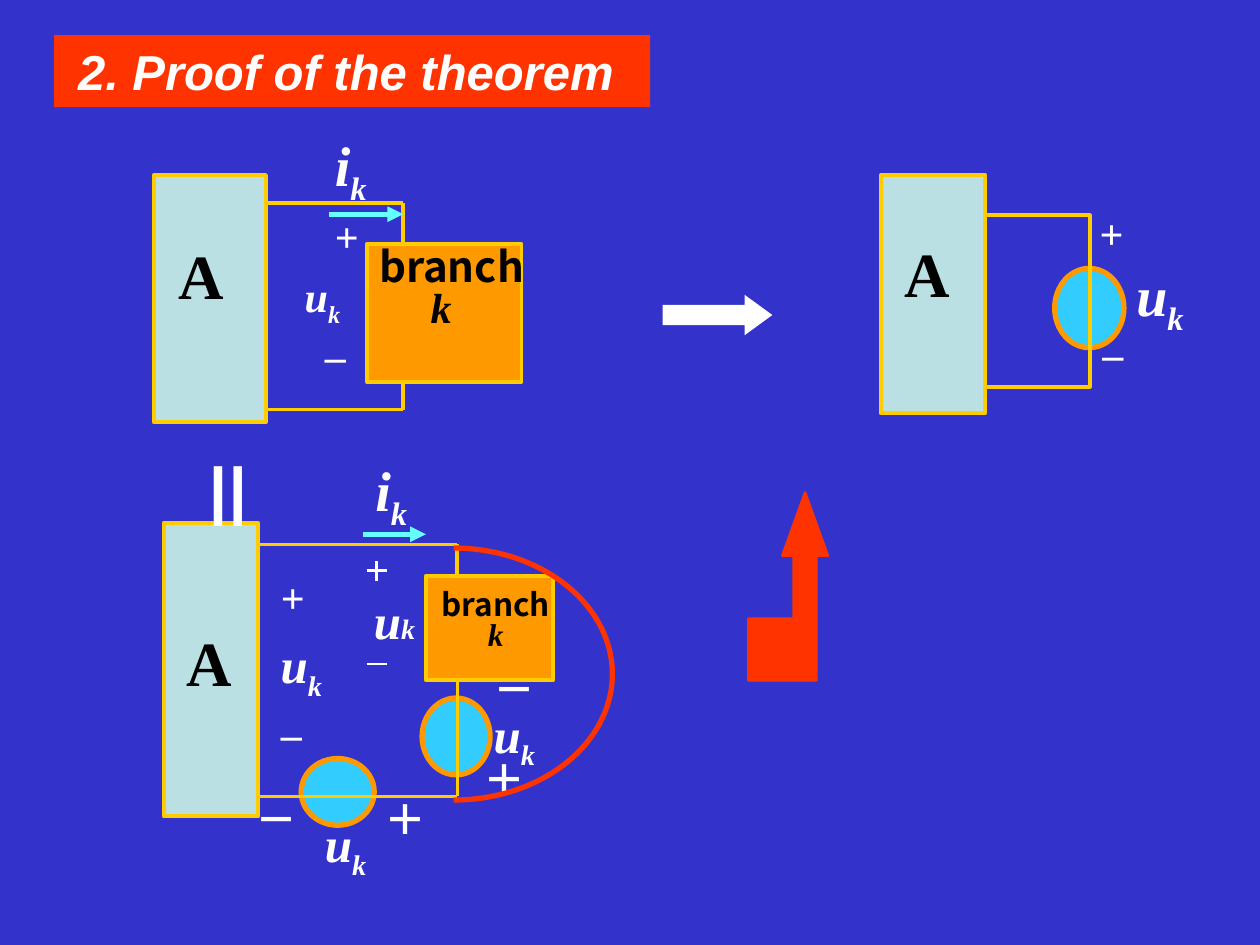
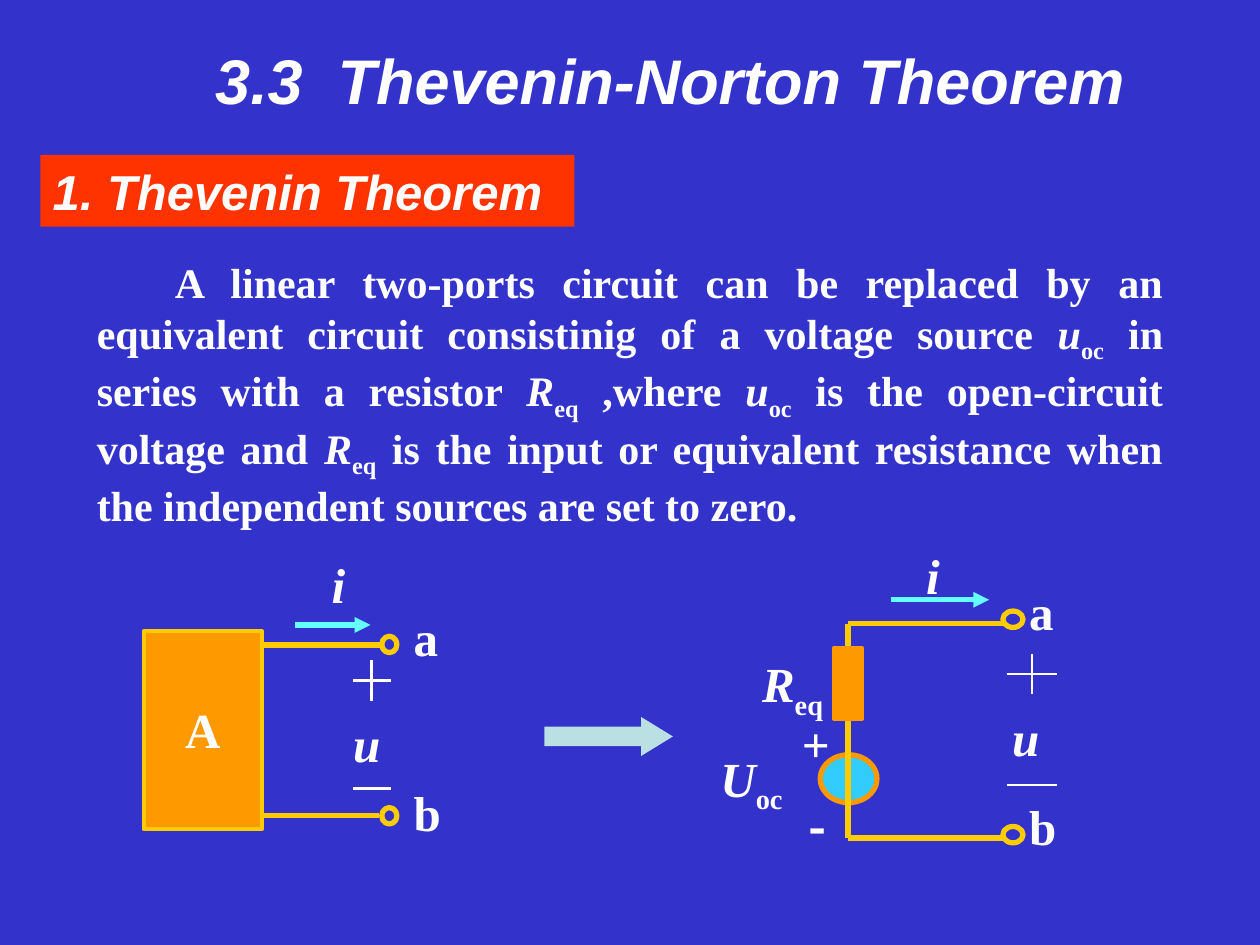
from lxml import etree
from pptx import Presentation
from pptx.dml.color import RGBColor
from pptx.enum.shapes import MSO_CONNECTOR, MSO_SHAPE as SHP
from pptx.enum.text import MSO_ANCHOR, MSO_AUTO_SIZE, PP_ALIGN as AL
from pptx.oxml.ns import qn
from pptx.util import Pt

PX = 9144  # 100 px to the inch
COLORS = {
    "bg": "3333CC", "white": "FFFFFF", "black": "000000", "red": "FF3300",
    "orange": "FF9900", "yellow": "FFCC00", "pale": "BBE0E3",
    "sky": "33CCFF", "cyan": "66FFFF",
}
SERIF, SANS, CJK = "Times New Roman", "Arial", "Noto Sans CJK SC"


def rgb(name):
    return RGBColor.from_string(COLORS[name])


def px(values):
    return [v * PX for v in values]


# Text
def add_run(p, text, size, color="white", font=SERIF, italic=False, sub=False):
    r = p.add_run()
    r.text = text
    f = r.font
    f.name, f.size, f.bold, f.italic = font, Pt(size), True, italic
    f.color.rgb = rgb(color)
    rpr = r._r.get_or_add_rPr()
    if sub:
        rpr.set("baseline", "-25000")
    etree.SubElement(rpr, qn("a:ea")).set("typeface", CJK)


def frame(sp, mid=False):
    tf = sp.text_frame
    tf.word_wrap = not mid
    tf.auto_size = MSO_AUTO_SIZE.SHAPE_TO_FIT_TEXT
    tf.vertical_anchor = MSO_ANCHOR.MIDDLE if mid else MSO_ANCHOR.TOP
    tf.paragraphs[0].alignment = AL.CENTER if mid else AL.LEFT
    return tf


def label(s, box, text, size, mid=False, **style):
    sp = s.shapes.add_textbox(*px(box))
    add_run(frame(sp, mid).paragraphs[0], text, size, **style)
    return sp


def symbol(s, box, base, sub, size, sub_italic=True):
    """Italic quantity with a subscript."""
    p = frame(s.shapes.add_textbox(*px(box))).paragraphs[0]
    add_run(p, base, size, italic=True)
    add_run(p, sub, size, italic=sub_italic, sub=True)


def branch_label(s, box, size, align, k_indent=0):
    tf = frame(s.shapes.add_textbox(*px(box)))
    name, k = tf.paragraphs[0], tf.add_paragraph()
    for p in (name, k):
        p.alignment, p.line_spacing = align, 0.8
    add_run(name, "branch", size, "black", CJK)
    add_run(k, "k", size, "black", italic=True)
    k._p.get_or_add_pPr().set("marL", str(k_indent * PX))


# Shapes
def paint(sp, fill=None, line=None, width=2.25):
    sp.shadow.inherit = False
    if fill:
        sp.fill.solid()
        sp.fill.fore_color.rgb = rgb(fill)
    else:
        sp.fill.background()
    if line:
        sp.line.color.rgb = rgb(line)
        sp.line.width = Pt(width)
    else:
        sp.line.fill.background()
    return sp


def shape(s, kind, box, fill=None, line=None, width=2.25, adj=()):
    sp = s.shapes.add_shape(kind, *px(box))
    for i, value in enumerate(adj):
        sp.adjustments[i] = value
    return paint(sp, fill, line, width)


def block(s, box, fill="pale"):
    shape(s, SHP.RECTANGLE, box, fill, "yellow")


def source(s, box):
    shape(s, SHP.OVAL, box, "sky", "orange", 3)


def terminal(s, box):
    shape(s, SHP.OVAL, box, None, "yellow", 3)


def banner(s, box, text, left=10):
    sp = shape(s, SHP.RECTANGLE, box, "red")
    tf = frame(sp)
    tf.margin_left = left * PX
    add_run(tf.paragraphs[0], text, 28, font=SANS, italic=True)


# Lines
def line(s, x1, y1, x2, y2, color="yellow", width=2.25):
    c = s.shapes.add_connector(MSO_CONNECTOR.STRAIGHT, *px((x1, y1, x2, y2)))
    c.line.color.rgb = rgb(color)
    c.line.width = Pt(width)
    etree.SubElement(c._element.spPr, qn("a:effectLst"))
    return c


def wire(s, points, width=2.25):
    for a, b in zip(points, points[1:]):
        line(s, *a, *b, width=width)


def current(s, x1, x2, y):
    c = line(s, x1, y, x2, y, "cyan", 3)
    etree.SubElement(c.line._get_or_add_ln(), qn("a:tailEnd")).set("type", "triangle")


def polarity(s, x, plus_y, minus_y, half_w, half_h):
    """Plus and minus marks drawn one above the other."""
    for y in (plus_y, minus_y):
        line(s, x - half_w, y, x + half_w, y, "white", 1.5)
    line(s, x, plus_y - half_h, x, plus_y + half_h, "white", 1.5)


def new_slide(prs):
    s = prs.slides.add_slide(prs.slide_layouts[6])
    s.background.fill.solid()
    s.background.fill.fore_color.rgb = rgb("bg")
    return s


# Slide 1: proof
def branch_circuit(s):
    block(s, (291, 194, 123, 109), "orange")
    block(s, (122, 139, 89, 196))
    label(s, (132, 183, 60, 70), "A", 36, color="black")
    wire(s, [(211, 161), (320, 161), (320, 194)])
    wire(s, [(211, 325), (320, 325), (320, 303)])
    current(s, 261, 320, 170)
    symbol(s, (256, 99, 70, 63), "i", "k", 32)
    label(s, (256, 162, 32, 50), "+", 24)
    label(s, (248, 257, 50, 50), "–", 24)
    symbol(s, (232, 210, 72, 50), "u", "k", 24)
    branch_label(s, (291, 194, 138, 74), 24, AL.LEFT, 41)


def source_circuit(s):
    block(s, (699, 139, 83, 189))
    block(s, (782, 171, 83, 136), None)
    label(s, (708, 181, 55, 70), "A", 36, color="black")
    source(s, (837, 213, 55, 63))
    line(s, 865, 211, 865, 278)
    label(s, (863, 160, 30, 50), "+", 24)
    label(s, (865, 255, 46, 50), "–", 24)
    symbol(s, (892, 202, 66, 63), "u", "k", 32)


def two_source_circuit(s):
    source(s, (239, 602, 58, 53))
    symbol(s, (248, 641, 83, 57), "u", "k", 28)
    source(s, (335, 554, 54, 61))
    symbol(s, (382, 554, 98, 57), "u", "k", 28)
    polarity(s, 299, 453, 527, 8, 8)
    sp = label(s, (287, 464, 53, 57), "u", 28, italic=True)
    sp.text_frame.word_wrap = False
    add_run(sp.text_frame.paragraphs[0], "k", 16, italic=True)
    for x, y, sign in ((193, 625, "－"), (374, 593, "＋"),
                       (295, 625, "＋"), (382, 522, "－")):
        label(s, (x, y, 47, 50), sign, 24, font=SANS)
    block(s, (130, 415, 75, 233))
    label(s, (138, 490, 50, 70), "A", 36, color="black")
    current(s, 288, 338, 424)
    symbol(s, (288, 357, 58, 63), "i", "k", 32)
    label(s, (213, 449, 42, 50), "+", 24)
    label(s, (213, 557, 42, 50), "–", 24)
    symbol(s, (213, 499, 60, 57), "u", "k", 28)
    block(s, (338, 457, 101, 83), "orange")
    branch_label(s, (338, 465, 111, 58), 18, AL.CENTER)
    line(s, 205, 432, 363, 432, width=1.5)
    line(s, 363, 432, 363, 457)
    wire(s, [(205, 632), (363, 632), (363, 540)], 1.5)
    # Short circuit across branch and source: arc from -90 to 90 degrees
    shape(s, SHP.ARC, (234, 435, 252, 200), None, "red", 3, (162, 54))


def bent_arrow(s):
    points = [(639, 391), (621, 441), (630, 441), (630, 491), (594, 491),
              (594, 540), (648, 540), (648, 441), (657, 441)]
    fb = s.shapes.build_freeform(*points[0], scale=PX)
    fb.add_line_segments(points[1:], close=True)
    paint(fb.convert_to_shape(), "red", "red", 1.5)


def proof_slide(prs):
    s = new_slide(prs)
    branch_circuit(s)
    source_circuit(s)
    shape(s, SHP.RIGHT_ARROW, (526, 234, 87, 32), "white", adj=(0.5, 0.685))
    two_source_circuit(s)
    bent_arrow(s)
    banner(s, (43, 28, 473, 57), "2. Proof of the theorem", 19)
    label(s, (131, 357, 102, 90), "＝", 48, font=SANS).rotation = 90


# Slide 2: theorem
def statement(s):
    p = frame(s.shapes.add_textbox(*px((67, 199, 866, 212)))).paragraphs[0]
    p.alignment = AL.JUSTIFY
    p._p.get_or_add_pPr().set("indent", str(62 * PX))
    pieces = [
        ("A linear two-ports circuit can be replaced by an equivalent circuit "
         "consistinig of a voltage source ", "u", "oc"),
        (" in series with a resistor ", "R", "eq"),
        (" ,where ", "u", "oc"),
        (" is the open-circuit voltage and ", "R", "eq"),
    ]
    for text, base, sub in pieces:
        add_run(p, text, 24)
        add_run(p, base, 24, italic=True)
        add_run(p, sub, 24, sub=True)
    add_run(p, " is the input or equivalent resistance when the independent "
               "sources are set to zero.", 24)


def two_port(s):
    block(s, (114, 501, 94, 157), "orange")
    label(s, (137, 550, 48, 57), "A", 28, mid=True)
    line(s, 209, 512, 303, 512, width=3)
    line(s, 209, 647, 301, 647, width=3)
    current(s, 234, 294, 496)
    for y in (505, 641):
        terminal(s, (303, y, 12, 13))
    label(s, (318, 477, 40, 57), "a", 28, mid=True)
    label(s, (318, 616, 42, 57), "b", 28, mid=True)
    label(s, (253, 435, 31, 57), "i", 28, mid=True, italic=True)
    polarity(s, 295, 540, 626, 15, 16)
    label(s, (270, 561, 42, 57), "u", 28, mid=True, italic=True)


def equivalent(s):
    current(s, 707, 785, 476)
    label(s, (718, 428, 45, 57), "i", 28, mid=True, italic=True)
    wire(s, [(796, 495), (673, 495), (673, 665), (796, 665)], 3)
    label(s, (807, 457, 78, 57), "a", 28)
    label(s, (807, 627, 56, 57), "b", 28)
    shape(s, SHP.RECTANGLE, (662, 514, 22, 57), "orange", "orange")
    symbol(s, (595, 514, 78, 57), "R", "eq", 28, False)
    source(s, (651, 599, 45, 38))
    line(s, 673, 597, 673, 639, width=3)
    symbol(s, (562, 589, 100, 57), "U", "oc", 28, False)
    for y in (656, 485):
        terminal(s, (796, y, 16, 13))
    label(s, (621, 561, 53, 57), "+", 28, mid=True)
    label(s, (629, 627, 40, 57), "-", 28, mid=True, font=CJK)
    polarity(s, 819, 535, 623, 20, 16)
    label(s, (793, 556, 42, 57), "u", 28, mid=True, italic=True)


def theorem_slide(prs):
    s = new_slide(prs)
    banner(s, (32, 123, 424, 57), "1. Thevenin Theorem")
    statement(s)
    shape(s, SHP.RIGHT_ARROW, (432, 569, 102, 31), "pale", adj=(0.5, 0.813))
    two_port(s)
    equivalent(s)
    label(s, (161, 28, 745, 71), "3.3  Thevenin-Norton Theorem", 36,
          font=SANS, italic=True)


def main():
    prs = Presentation()
    prs.slide_width, prs.slide_height = px((1000, 750))
    proof_slide(prs)
    theorem_slide(prs)
    prs.save("out.pptx")


if __name__ == "__main__":
    main()
